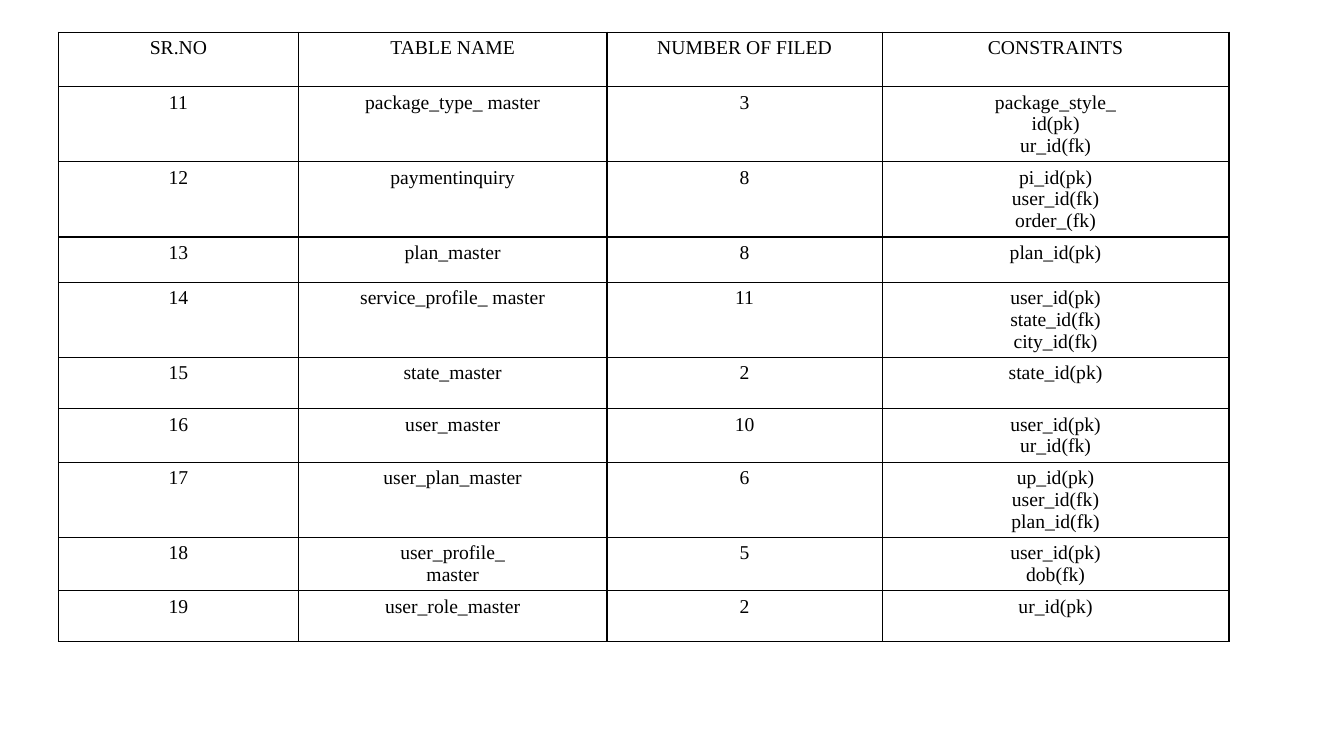
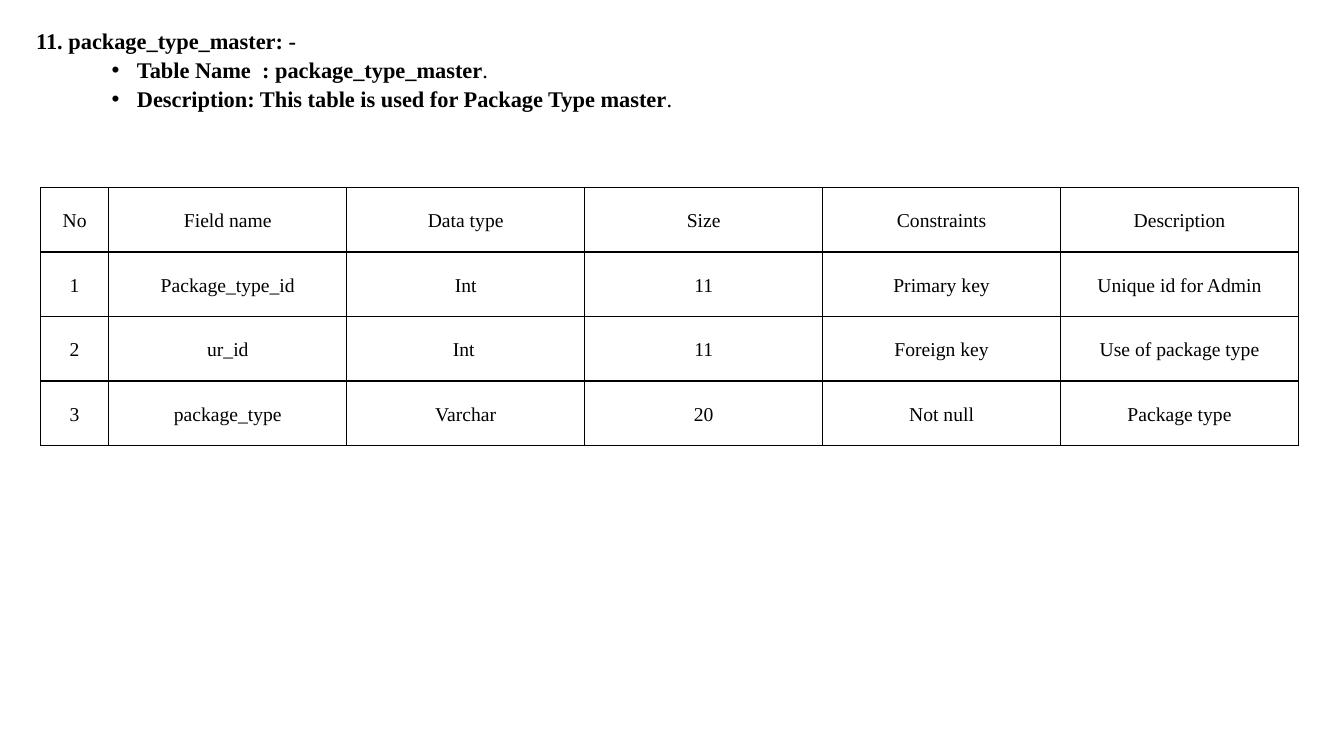
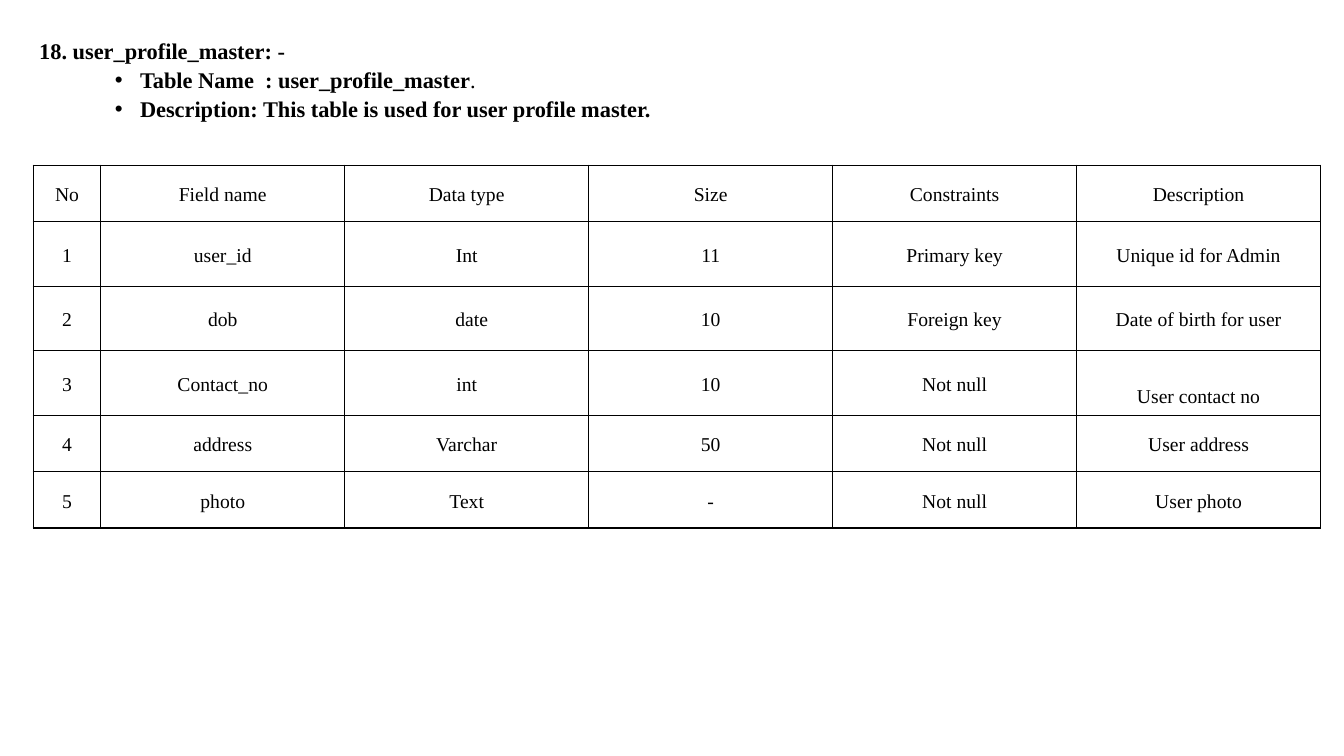
from dataclasses import dataclass, field

from lxml import etree
from pptx import Presentation, util as u
from pptx.dml.color import RGBColor
from pptx.enum import text
from pptx.oxml import ns

# Shared style
COLORS = {"ink": "000000", "paper": "FFFFFF"}
FONT = "Times New Roman"
HEADING_SIZE, CELL_SIZE = 16, 14
BORDER_POINTS = 1
FIELD_HEADER = ("No", "Field name", "Data type", "Size", "Constraints", "Description")


@dataclass(frozen=True)
class CellStyle:
    side_margin: float
    end_margin: float
    anchor: text.MSO_ANCHOR
    line_spacing: float
    fill: str | None


@dataclass(frozen=True)
class TableSpec:
    left: float
    top: float
    columns: tuple[float, ...]
    rows: tuple[float, ...]
    cells: tuple[tuple[str, ...], ...]
    style: CellStyle
    # Extra left and top margin, keyed by (row, column)
    nudges: dict[tuple[int, int], tuple[float, float]] = field(default_factory=dict)


@dataclass(frozen=True)
class Heading:
    left: float
    top: float
    width: float
    title: str
    # Each bullet is bold text followed by a regular ending
    bullets: tuple[tuple[str, str], ...]


OVERVIEW = CellStyle(0.1, 0.05, text.MSO_ANCHOR.TOP, 1, None)
FIELDS = CellStyle(0.07, 0, text.MSO_ANCHOR.MIDDLE, 1.15, "paper")


def color(name: str) -> RGBColor:
    return RGBColor.from_string(COLORS[name])


def set_font(paragraph, size: float, bold: bool | None = None) -> None:
    font = paragraph.font
    font.name, font.size, font.bold = FONT, u.Pt(size), bold
    font.color.rgb = color("ink")


def add_borders(cell) -> None:
    properties = cell._tc.get_or_add_tcPr()
    for index, side in enumerate(("lnL", "lnR", "lnT", "lnB")):
        line = etree.Element(ns.qn(f"a:{side}"), w=str(u.Pt(BORDER_POINTS)))
        fill = etree.SubElement(line, ns.qn("a:solidFill"))
        etree.SubElement(fill, ns.qn("a:srgbClr"), val=COLORS["ink"])
        properties.insert(index, line)


def fill_cell(cell, content: str, style: CellStyle, nudge: tuple[float, float]) -> None:
    cell.margin_left = u.Inches(style.side_margin + nudge[0])
    cell.margin_right = u.Inches(style.side_margin)
    cell.margin_top = u.Inches(style.end_margin + nudge[1])
    cell.margin_bottom = u.Inches(style.end_margin)
    cell.vertical_anchor = style.anchor
    if style.fill:
        cell.fill.solid()
        cell.fill.fore_color.rgb = color(style.fill)
    else:
        cell.fill.background()
    add_borders(cell)
    cell.text_frame.text = content
    for paragraph in cell.text_frame.paragraphs:
        paragraph.alignment = text.PP_ALIGN.CENTER
        paragraph.line_spacing = style.line_spacing
        set_font(paragraph, CELL_SIZE)


def add_table(slide, spec: TableSpec) -> None:
    size = (sum(spec.columns), sum(spec.rows))
    frame = slide.shapes.add_table(
        len(spec.rows), len(spec.columns),
        *(u.Inches(length) for length in (spec.left, spec.top, *size)))
    table = frame.table
    table.first_row = table.horz_banding = False
    for column, width in zip(table.columns, spec.columns):
        column.width = u.Inches(width)
    for r, (height, contents) in enumerate(zip(spec.rows, spec.cells)):
        table.rows[r].height = u.Inches(height)
        for c, content in enumerate(contents):
            fill_cell(table.cell(r, c), content, spec.style, spec.nudges.get((r, c), (0, 0)))


def add_bullet(paragraph) -> None:
    paragraph.level = 2
    properties = paragraph._p.get_or_add_pPr()
    properties.set("marL", str(u.Inches(1)))
    properties.set("indent", str(u.Inches(-0.25)))
    etree.SubElement(properties, ns.qn("a:buFont"), typeface="Arial")
    etree.SubElement(properties, ns.qn("a:buChar"), char="•")


def add_heading(slide, heading: Heading) -> None:
    box = slide.shapes.add_textbox(
        *(u.Inches(length) for length in (heading.left, heading.top, heading.width, 1.18)))
    frame = box.text_frame
    frame.word_wrap = True
    frame.text = heading.title
    for bold_text, ending in heading.bullets:
        paragraph = frame.add_paragraph()
        paragraph.add_run().text = bold_text
        if ending:
            run = paragraph.add_run()
            run.text = ending
            run.font.bold = False
        paragraph.line_spacing = 1.08
        add_bullet(paragraph)
    frame.paragraphs[0].line_spacing = 1.08
    for paragraph in frame.paragraphs:
        set_font(paragraph, HEADING_SIZE, True)


# Slide contents: optional heading and a table
SLIDES: tuple[tuple[Heading | None, TableSpec], ...] = (
    (
        None,
        TableSpec(
            0.58, 0.32, (2.38, 3.06, 2.73, 3.44),
            (0.54, 0.74, 0.74, 0.45, 0.74, 0.51, 0.53, 0.74, 0.53, 0.5),
            (
                ("SR.NO", "TABLE NAME", "NUMBER OF FILED", "CONSTRAINTS"),
                ("11", "package_type_ master", "3", "package_style_\nid(pk)\nur_id(fk)"),
                ("12", "paymentinquiry", "8", "pi_id(pk)\nuser_id(fk)\norder_(fk)"),
                ("13", "plan_master", "8", "plan_id(pk)"),
                ("14", "service_profile_ master", "11",
                 "user_id(pk)\nstate_id(fk)\ncity_id(fk)"),
                ("15", "state_master", "2", "state_id(pk)"),
                ("16", "user_master", "10", "user_id(pk)\nur_id(fk)"),
                ("17", "user_plan_master", "6", "up_id(pk)\nuser_id(fk)\nplan_id(fk)"),
                ("18", "user_profile_\nmaster", "5", "user_id(pk)\ndob(fk)"),
                ("19", "user_role_master", "2", "ur_id(pk)"),
            ),
            OVERVIEW,
        ),
    ),
    (
        Heading(
            0.26, 0.2, 12.35, "11. package_type_master: -",
            (("Table Name  : package_type_master", "."),
             ("Description: This table is used for Package Type master", ".")),
        ),
        TableSpec(
            0.4, 1.86, (0.68,) + (2.36,) * 5, (0.64,) * 4,
            (
                FIELD_HEADER,
                ("1", "Package_type_id", "Int", "11", "Primary key", "Unique id for Admin"),
                ("2", "ur_id", "Int", "11", "Foreign key", "Use of package type"),
                ("3", "package_type", "Varchar", "20", "Not null", "Package type"),
            ),
            FIELDS,
            {(2, 2): (-0.04, 0)},
        ),
    ),
    (
        Heading(
            0.29, 0.3, 12.59, "18. user_profile_master: -",
            (("Table Name  : user_profile_master", "."),
             ("Description: This table is used for user profile master.", "")),
        ),
        TableSpec(
            0.33, 1.64, (0.67,) + (2.42,) * 5, (0.56,) + (0.64,) * 3 + (0.56,) * 2,
            (
                FIELD_HEADER,
                ("1", "user_id", "Int", "11", "Primary key", "Unique id for Admin"),
                ("2", "dob", "date", "10", "Foreign key", "Date of birth for user"),
                ("3", "Contact_no", "int", "10", "Not null", "User contact no"),
                ("4", "address", "Varchar", "50", "Not null", "User address"),
                ("5", "photo", "Text", "-", "Not null", "User photo"),
            ),
            FIELDS,
            {(2, 2): (0.1, 0), (3, 5): (0, 0.25)},
        ),
    ),
)


def main() -> None:
    presentation = Presentation()
    presentation.slide_width, presentation.slide_height = u.Inches(13.33), u.Inches(7.5)
    for heading, table in SLIDES:
        slide = presentation.slides.add_slide(presentation.slide_layouts[6])
        slide.background.fill.solid()
        slide.background.fill.fore_color.rgb = color("paper")
        add_table(slide, table)
        if heading:
            add_heading(slide, heading)
    presentation.save("out.pptx")


if __name__ == "__main__":
    main()
